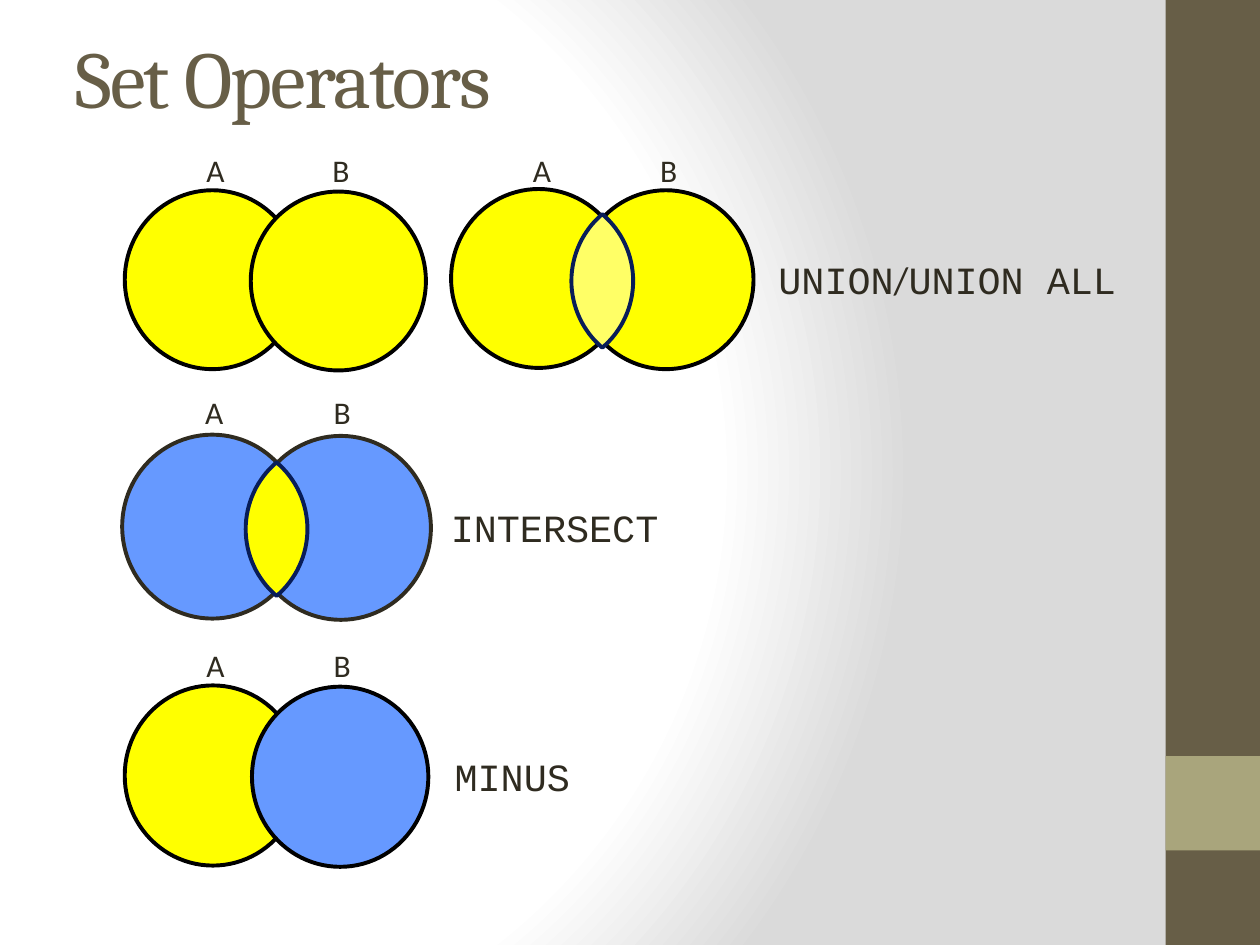
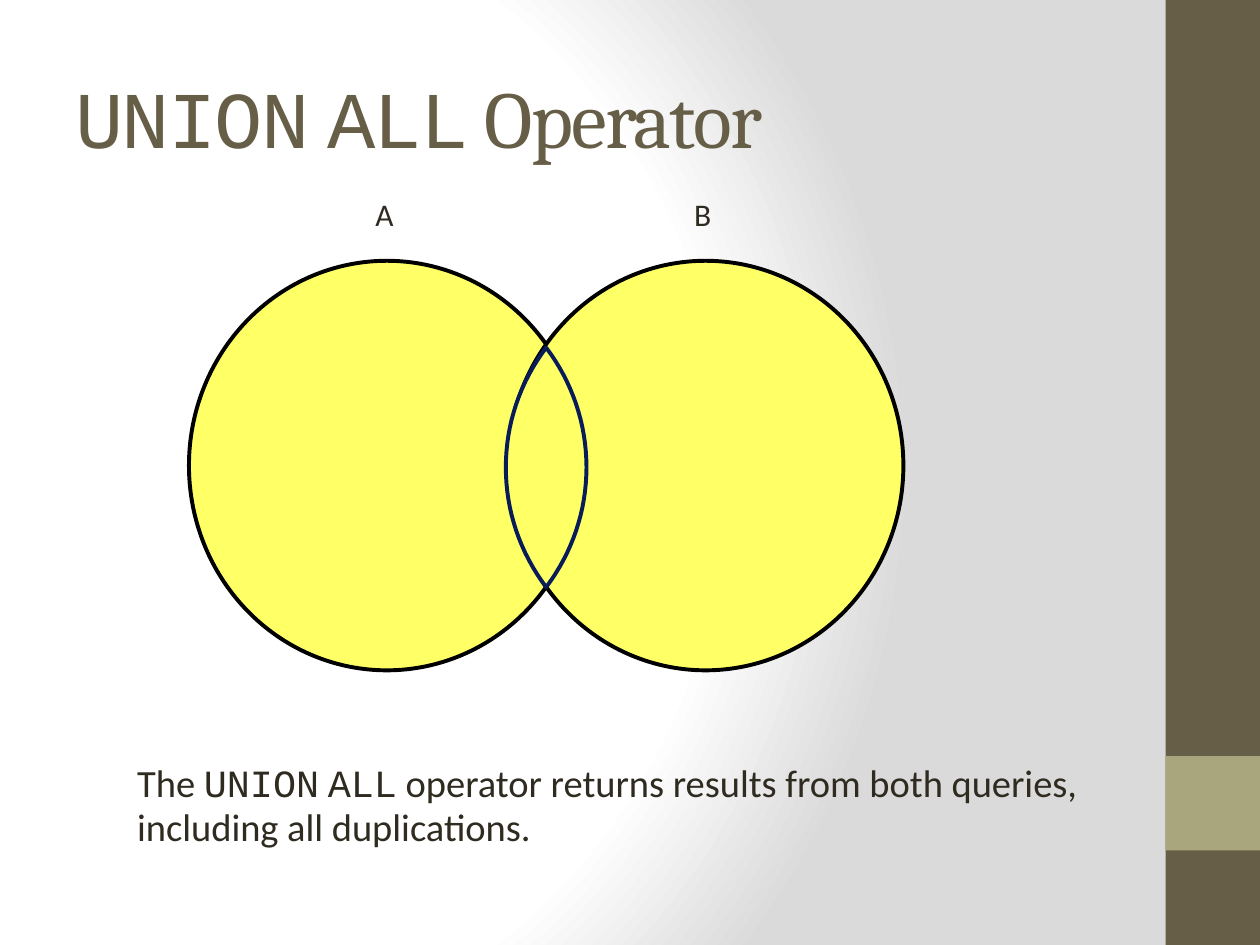
from dataclasses import dataclass
from math import asin, cos, sin
from typing import Optional

from lxml import etree
from pptx import Presentation
from pptx.dml.color import RGBColor
from pptx.enum.shapes import MSO_SHAPE as Preset
from pptx.enum.text import MSO_ANCHOR as Anchor, MSO_AUTO_SIZE as AutoSize
from pptx.oxml.ns import qn
from pptx.util import Inches, Pt

WHITE = RGBColor(0xFF, 0xFF, 0xFF)
SILVER = RGBColor(0xDA, 0xDA, 0xDA)
BROWN = RGBColor(0x67, 0x5E, 0x47)
OLIVE = RGBColor(0xA9, 0xA5, 0x7C)
INK = RGBColor(0x2F, 0x2B, 0x20)
BLACK = RGBColor(0x00, 0x00, 0x00)
NAVY = RGBColor(0x08, 0x1D, 0x58)
YELLOW = RGBColor(0xFF, 0xFF, 0x00)
PALE_YELLOW = RGBColor(0xFF, 0xFF, 0x66)
BLUE = RGBColor(0x66, 0x99, 0xFF)

HEADING, BODY, CODE = "Cambria", "Calibri", "Courier New"
TITLE_FORMAT = {"size": Pt(46), "color": BROWN}
TEXT_FORMAT = {"size": Pt(22), "color": INK}
LABEL_FORMAT = {"size": Pt(18), "color": INK}
BACKGROUND_STOPS = ((0, WHITE), (75, WHITE), (100, SILVER))
FOCUS = {"l": 20, "t": 50, "r": 100, "b": 50}
ARC_STEPS = 32
LENS_DROP = 0.015


@dataclass(frozen=True)
class Area:
    """A rectangle on the page, in inches."""
    left: float
    top: float
    width: float
    height: float

    def lengths(self) -> tuple:
        """Return the four sides as lengths."""
        return tuple(Inches(side) for side in (self.left, self.top, self.width, self.height))


@dataclass(frozen=True)
class Span:
    """A stretch of text in one font."""
    text: str
    font: str


@dataclass(frozen=True)
class Lens:
    """The overlap of two sets."""
    width: float
    height: float
    fill: RGBColor


@dataclass(frozen=True)
class Venn:
    """Sets A and B, the second placed a step right of the first."""
    circle: Area
    step: float
    drop: float
    label_left: float
    label_top: float
    fills: tuple
    outline: RGBColor = BLACK
    lens: Optional[Lens] = None


@dataclass(frozen=True)
class Caption:
    """A text beside or below a diagram."""
    area: Area
    spans: tuple
    wrap: bool = False
    line_spacing: float = 1.0


@dataclass(frozen=True)
class PagePlan:
    """Everything that one page shows."""
    title_area: Area
    title: tuple
    venns: tuple
    captions: tuple


BANDS = ((Area(9.25, 0, 0.75, 7.5), BROWN), (Area(9.25, 6, 0.75, 0.75), OLIVE))

PAGES = (
    PagePlan(
        Area(0.5, 0.17, 8.33, 0.87),
        (Span("Set Operators", HEADING),),
        (
            Venn(Area(0.99, 1.51, 1.39, 1.42), 1.0, 0.01, 1.54, 1.15, (YELLOW, YELLOW)),
            Venn(Area(3.58, 1.5, 1.39, 1.42), 1.01, 0.01, 4.13, 1.15, (YELLOW, YELLOW),
                 lens=Lens(0.49, 1.06, PALE_YELLOW)),
            Venn(Area(0.97, 3.45, 1.43, 1.46), 1.02, 0.01, 1.53, 3.07, (BLUE, BLUE),
                 INK, Lens(0.49, 1.06, YELLOW)),
            Venn(Area(0.99, 5.44, 1.4, 1.43), 1.01, 0.01, 1.54, 5.08, (YELLOW, BLUE)),
        ),
        (
            Caption(Area(6.08, 1.98, 3.7, 0.47),
                    (Span("UNION", CODE), Span("/", BODY), Span("UNION ALL", CODE)), True),
            Caption(Area(3.48, 3.95, 1.86, 0.47), (Span("INTERSECT", CODE),)),
            Caption(Area(3.51, 5.93, 1.12, 0.47), (Span("MINUS", CODE),)),
        ),
    ),
    PagePlan(
        Area(0.5, 0.3, 8.33, 1.25),
        (Span("UNION", CODE), Span(" ", HEADING), Span("ALL", CODE), Span(" Operator", HEADING)),
        (
            Venn(Area(1.5, 2.07, 3.14, 3.25), 2.53, 0, 2.88, 1.5, (PALE_YELLOW, PALE_YELLOW),
                 lens=Lens(0.64, 1.9, PALE_YELLOW)),
        ),
        (
            Caption(Area(0.99, 6, 7.95, 0.8),
                    (Span("The ", BODY), Span("UNION", CODE), Span(" ", BODY), Span("ALL", CODE),
                     Span(" operator returns results from both queries, "
                          "including all duplications.", BODY)), True, 0.95),
        ),
    ),
)


def paint_background(deck) -> None:
    """Give the slide master its round gradient."""
    fill = deck.slide_master.background.fill
    fill.solid()
    properties = deck.slide_master.element.find(".//" + qn("p:bgPr"))
    properties.remove(properties.find(qn("a:solidFill")))
    gradient = etree.Element(qn("a:gradFill"), rotWithShape="1")
    stops = etree.SubElement(gradient, qn("a:gsLst"))
    for position, color in BACKGROUND_STOPS:
        stop = etree.SubElement(stops, qn("a:gs"), pos=str(position * 1000))
        etree.SubElement(stop, qn("a:srgbClr"), val=str(color))
    circle = etree.SubElement(gradient, qn("a:path"))
    circle.set("path", "circle")
    focus = {side: str(percent * 1000) for side, percent in FOCUS.items()}
    etree.SubElement(circle, qn("a:fillToRect"), focus)
    properties.insert(0, gradient)


def paint(shape, fill: RGBColor, outline: Optional[RGBColor] = None) -> None:
    """Set fill and outline, without a shadow."""
    shape.shadow.inherit = False
    shape.fill.solid()
    shape.fill.fore_color.rgb = fill
    if outline is None:
        shape.line.fill.background()
    else:
        shape.line.color.rgb = outline
        shape.line.width = Pt(2.25)


def add_text(page, area: Area, spans: tuple, text_format: dict, **frame_format):
    """Add a text box with one paragraph and return the paragraph."""
    frame = page.shapes.add_textbox(*area.lengths()).text_frame
    for name, value in frame_format.items():
        setattr(frame, name, value)
    para = frame.paragraphs[0]
    for span in spans:
        run = para.add_run()
        run.text = span.text
        run.font.color.rgb = text_format["color"]
        for name, value in {"name": span.font, "size": text_format["size"]}.items():
            setattr(run.font, name, value)
    return para


def add_title(page, area: Area, spans: tuple) -> None:
    """Add the tightly spaced page title."""
    para = add_text(page, area, spans, TITLE_FORMAT, word_wrap=True,
                    vertical_anchor=Anchor.MIDDLE)
    for run in para.runs:
        run.font._element.set("spc", "-100")


def add_lens(page, lens: Lens, center_x: float, center_y: float, outline: RGBColor) -> None:
    """Draw the outline shared by two equal circular arcs."""
    half_width, half_height = lens.width / 2, lens.height / 2
    radius = (half_width ** 2 + half_height ** 2) / lens.width
    limit = asin(half_height / radius)
    points = []
    for side in (1, -1):
        for index in range(ARC_STEPS):
            angle = side * limit * (2 * index / ARC_STEPS - 1)
            across = radius * cos(angle) - radius + half_width
            points.append((Inches(center_x + side * across),
                           Inches(center_y + radius * sin(angle))))
    builder = page.shapes.build_freeform(*points[0])
    builder.add_line_segments(points[1:], close=True)
    paint(builder.convert_to_shape(), lens.fill, outline)


def add_venn(page, venn: Venn) -> None:
    """Draw two labelled circles and their overlap."""
    circle = venn.circle
    for index, (letter, fill) in enumerate(zip("AB", venn.fills)):
        shift = index * venn.step
        place = Area(circle.left + shift, circle.top + index * venn.drop,
                     circle.width, circle.height)
        paint(page.shapes.add_shape(Preset.OVAL, *place.lengths()), fill, venn.outline)
        add_text(page, Area(venn.label_left + shift, venn.label_top, 0.38, 0.4),
                 (Span(letter, BODY),), LABEL_FORMAT,
                 word_wrap=False, auto_size=AutoSize.SHAPE_TO_FIT_TEXT)
    if venn.lens:
        add_lens(page, venn.lens, circle.left + (venn.step + circle.width) / 2,
                 circle.top + (venn.drop + circle.height) / 2 + LENS_DROP, NAVY)


def add_page(deck, plan: PagePlan) -> None:
    """Build one page from its plan."""
    page = deck.slides.add_slide(deck.slide_layouts[6])
    for area, color in BANDS:
        paint(page.shapes.add_shape(Preset.RECTANGLE, *area.lengths()), color)
    add_title(page, plan.title_area, plan.title)
    for venn in plan.venns:
        add_venn(page, venn)
    for caption in plan.captions:
        para = add_text(page, caption.area, caption.spans, TEXT_FORMAT,
                        word_wrap=caption.wrap, auto_size=AutoSize.SHAPE_TO_FIT_TEXT)
        para.line_spacing = caption.line_spacing


def main() -> None:
    """Build and save the deck."""
    deck = Presentation()
    deck.slide_width, deck.slide_height = Inches(10), Inches(7.5)
    paint_background(deck)
    for plan in PAGES:
        add_page(deck, plan)
    deck.save("out.pptx")


if __name__ == "__main__":
    main()
